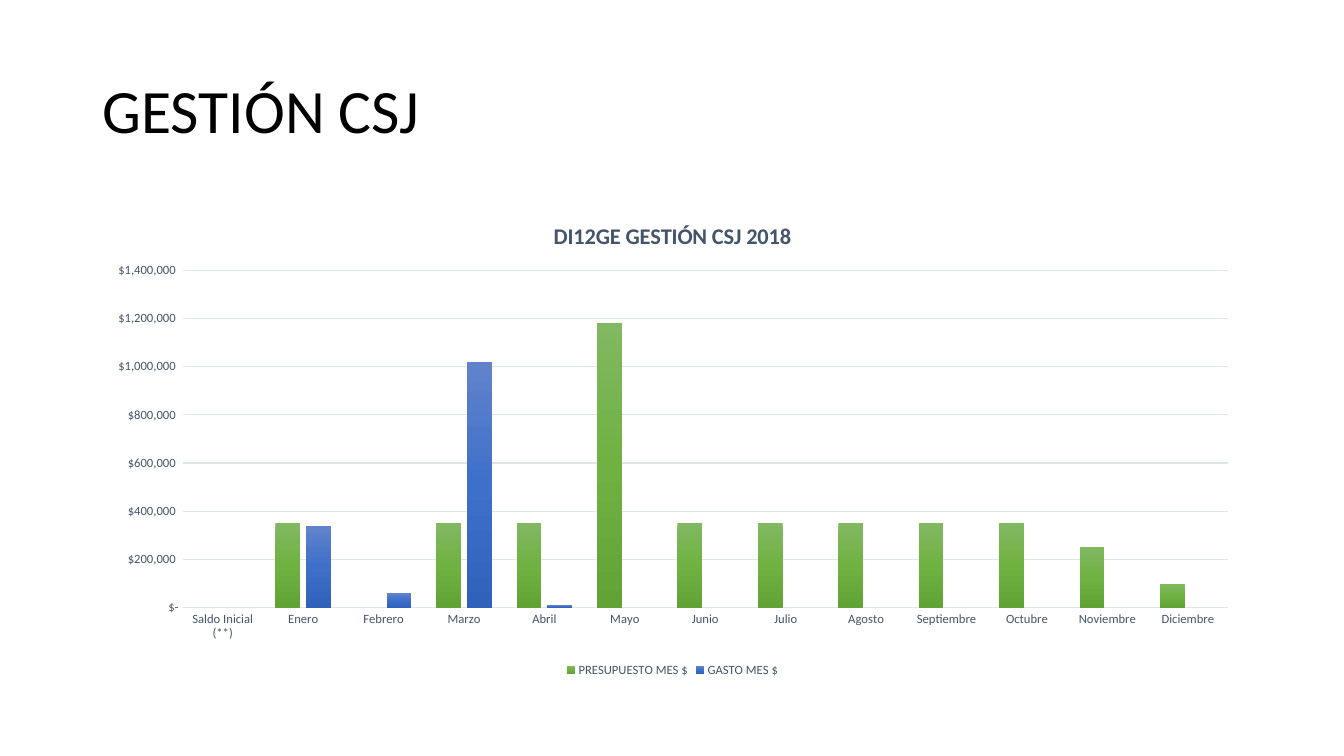
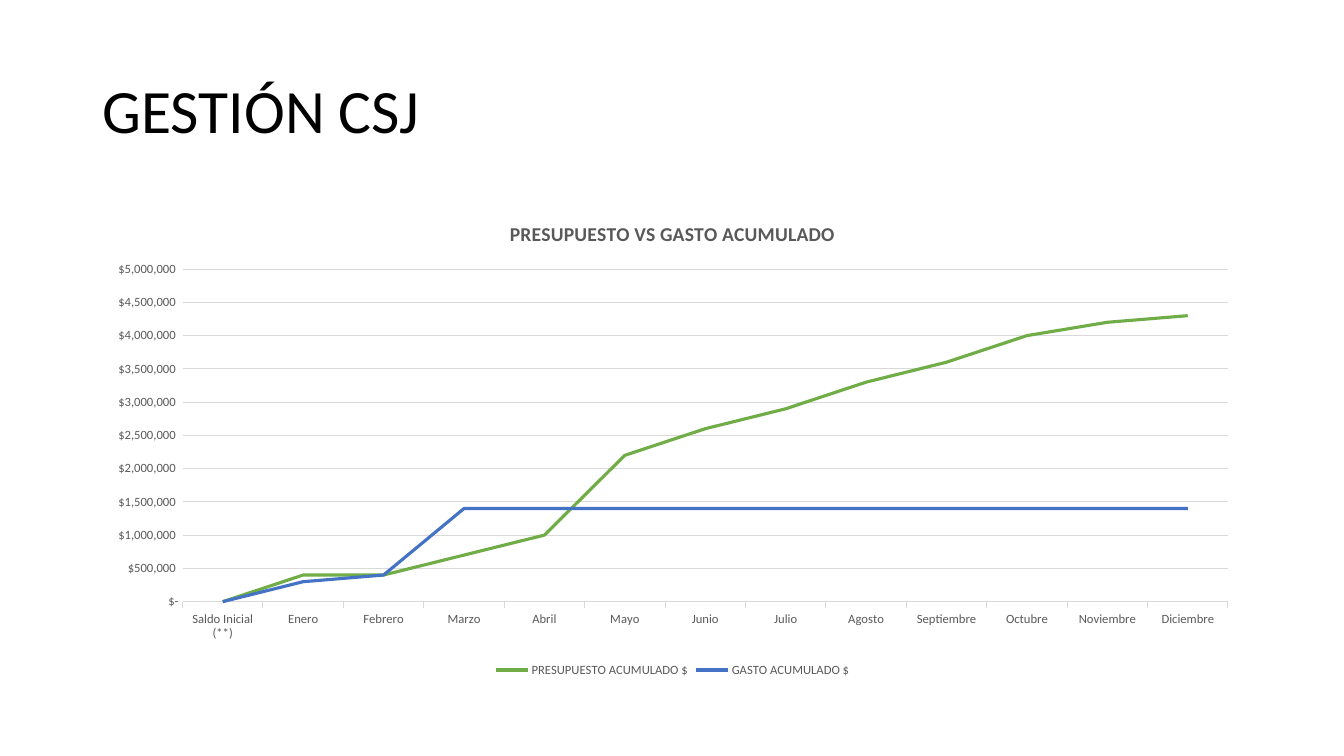
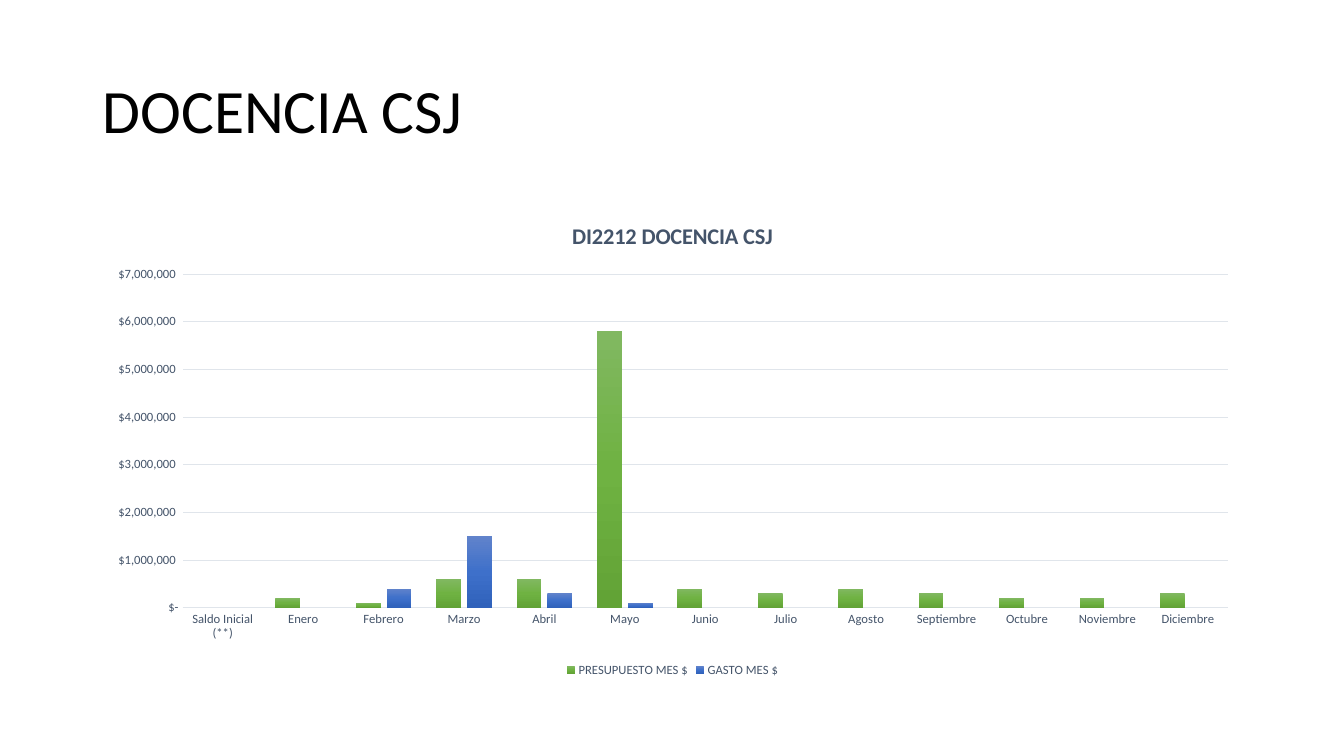
from copy import deepcopy

from pptx import Presentation
from pptx.chart.data import CategoryChartData
from pptx.dml.color import RGBColor
from pptx.enum.chart import XL_CHART_TYPE, XL_LEGEND_POSITION, XL_TICK_MARK
from pptx.enum.text import MSO_ANCHOR
from pptx.oxml import parse_xml
from pptx.oxml.ns import nsdecls, qn
from pptx.util import Inches, Pt

FONT = "Calibri"
BLACK = "000000"
GREEN, BLUE = "70AD47", "4472C4"
GREEN_RAMP = ("81B861", "6FB242", "62A336")
BLUE_RAMP = ("6183CB", "3E70CA", "3062BB")
MONEY = '_-"$"* #,##0_-;\\-"$"* #,##0_-;_-"$"* "-"'
LEFT, WIDTH = 0.92, 11.5
TITLE_BOX = (LEFT, 0.4, WIDTH, 1.45)
CHART_BOX = (LEFT, 2, WIDTH, 4.76)

PERIODS = ["Saldo Inicial (**)", "Enero", "Febrero", "Marzo", "Abril", "Mayo",
           "Junio", "Julio", "Agosto", "Septiembre", "Octubre", "Noviembre",
           "Diciembre"]
MANAGEMENT_BUDGET = [0, 350000, 0, 350000, 350000, 1180000] + [350000] * 5 + [250000, 100000]
MANAGEMENT_SPENT = [0, 340000, 60000, 1020000, 10000] + [0] * 8
CUMULATIVE_BUDGET = [0, 400000, 400000, 700000, 1000000, 2200000, 2600000, 2900000,
                     3300000, 3600000, 4000000, 4200000, 4300000]
CUMULATIVE_SPENT = [0, 300000, 400000] + [1400000] * 10
TEACHING_BUDGET = [0, 200000, 100000, 600000, 600000, 5800000, 400000, 300000,
                   400000, 300000, 200000, 200000, 300000]
TEACHING_SPENT = [None, 0, 400000, 1500000, 300000, 100000] + [0] * 7

COLUMN_STYLE = {"kind": XL_CHART_TYPE.COLUMN_CLUSTERED, "title_size": 16,
                "text": "44546A", "rule": "E0E5EB", "tick": XL_TICK_MARK.NONE,
                "colors": (GREEN_RAMP, BLUE_RAMP)}
LINE_STYLE = {"kind": XL_CHART_TYPE.LINE, "title_size": 14,
              "text": "595959", "rule": "D9D9D9", "tick": XL_TICK_MARK.OUTSIDE,
              "colors": (GREEN, BLUE)}
MONTHLY = ("PRESUPUESTO MES $", "GASTO MES $")
CUMULATIVE = ("PRESUPUESTO ACUMULADO $", "GASTO ACUMULADO $")

# slide title, chart title, style, series names, series values, plot top and bottom
SLIDES = [
    ("GESTIÓN CSJ", "DI12GE GESTIÓN CSJ 2018", COLUMN_STYLE, MONTHLY,
     (MANAGEMENT_BUDGET, MANAGEMENT_SPENT), (2.68, 6.03)),
    ("GESTIÓN CSJ", "PRESUPUESTO VS GASTO ACUMULADO", LINE_STYLE, CUMULATIVE,
     (CUMULATIVE_BUDGET, CUMULATIVE_SPENT), (2.67, 5.97)),
    ("DOCENCIA CSJ", "DI2212 DOCENCIA CSJ", COLUMN_STYLE, MONTHLY,
     (TEACHING_BUDGET, TEACHING_SPENT), (2.72, 6.03)),
]
PLOT_LEFT, PLOT_RIGHT = 1.81, 12.18


def rgb(color):
    """Turn a hex string into a colour."""
    return RGBColor.from_string(color)


def set_font(font, size, color, bold=False):
    """Apply the deck's font with the given size, colour and weight."""
    font.name, font.size, font.bold = FONT, Pt(size), bold
    font.color.rgb = rgb(color)


def write(tf, text, size=44, color=BLACK, bold=False, spacing=None):
    """Write one formatted paragraph into a text frame."""
    p = tf.paragraphs[0]
    p.line_spacing = spacing
    r = p.add_run()
    r.text = text
    set_font(r.font, size, color, bold)


def add_title(s, text):
    """Add the slide title."""
    tf = s.shapes.add_textbox(*map(Inches, TITLE_BOX)).text_frame
    tf.word_wrap = True
    tf.vertical_anchor = MSO_ANCHOR.MIDDLE
    write(tf, text, spacing=0.9)


def fill_ramp(ser, colors):
    """Fill a series with an even top-to-bottom gradient."""
    fill = ser.format.fill
    fill.gradient()
    fill.gradient_angle = 270
    stops = ser._element.find(".//" + qn("a:gsLst"))
    while len(stops) < len(colors):
        stops.append(deepcopy(stops[0]))
    for i, (stop, color) in enumerate(zip(fill.gradient_stops, colors)):
        stop.color.rgb = rgb(color)
        stop.position = i / (len(colors) - 1)


def place_plot(chart, top, bottom):
    """Fix the inner plot area, given slide positions in inches."""
    left, upper, width, height = CHART_BOX
    parts = {"x": (PLOT_LEFT - left) / width, "y": (top - upper) / height,
             "w": (PLOT_RIGHT - PLOT_LEFT) / width, "h": (bottom - top) / height}
    modes = "".join(f'<c:{k}Mode val="edge"/>' for k in "xy")
    sizes = "".join(f'<c:{k} val="{v:.4f}"/>' for k, v in parts.items())
    layout = parse_xml(f'<c:layout {nsdecls("c")}><c:manualLayout>'
                       f'<c:layoutTarget val="inner"/>{modes}{sizes}'
                       '</c:manualLayout></c:layout>')
    area = chart._chartSpace.chart.plotArea
    for old in area.findall(qn("c:layout")):
        area.remove(old)
    area.insert(0, layout)


def format_axes(chart, style):
    """Style both axes and the gridlines."""
    for axis in (chart.category_axis, chart.value_axis):
        set_font(axis.tick_labels.font, 9, style["text"])
        axis.major_tick_mark = axis.minor_tick_mark = XL_TICK_MARK.NONE
    chart.category_axis.major_tick_mark = style["tick"]
    value_axis = chart.value_axis
    value_axis.format.line.fill.background()
    value_axis.tick_labels.number_format = MONEY
    value_axis.tick_labels.number_format_is_linked = False
    for line in (chart.category_axis.format.line, value_axis.major_gridlines.format.line):
        line.color.rgb = rgb(style["rule"])
        line.width = Pt(0.75)


def add_chart(s, title, style, names, values, plot_span):
    """Add a budget and spending chart."""
    data = CategoryChartData(number_format=MONEY)
    data.categories = PERIODS
    for name, vals in zip(names, values):
        data.add_series(name, vals)
    chart = s.shapes.add_chart(style["kind"], *map(Inches, CHART_BOX), data).chart
    set_font(chart.font, 10, BLACK)
    chart.has_title = True
    write(chart.chart_title.text_frame, title, style["title_size"], style["text"], True)
    chart.chart_title.include_in_layout = False
    chart.has_legend = True
    chart.legend.position = XL_LEGEND_POSITION.BOTTOM
    chart.legend.include_in_layout = False
    set_font(chart.legend.font, 9, style["text"])
    format_axes(chart, style)
    place_plot(chart, *plot_span)
    plot = chart.plots[0]
    plot.vary_by_categories = False
    columns = style["kind"] == XL_CHART_TYPE.COLUMN_CLUSTERED
    if columns:
        plot.gap_width, plot.overlap = 100, -24
    for ser, color in zip(plot.series, style["colors"]):
        if columns:
            ser.invert_if_negative = False
            fill_ramp(ser, color)
        else:
            ser.smooth = False
            ser.format.line.color.rgb = rgb(color)
            ser.format.line.width = Pt(2.25)


prs = Presentation()
prs.slide_width, prs.slide_height = Inches(13.33), Inches(7.5)
for slide_title, *chart_parts in SLIDES:
    s = prs.slides.add_slide(prs.slide_layouts[6])
    add_title(s, slide_title)
    add_chart(s, *chart_parts)
prs.save("out.pptx")
